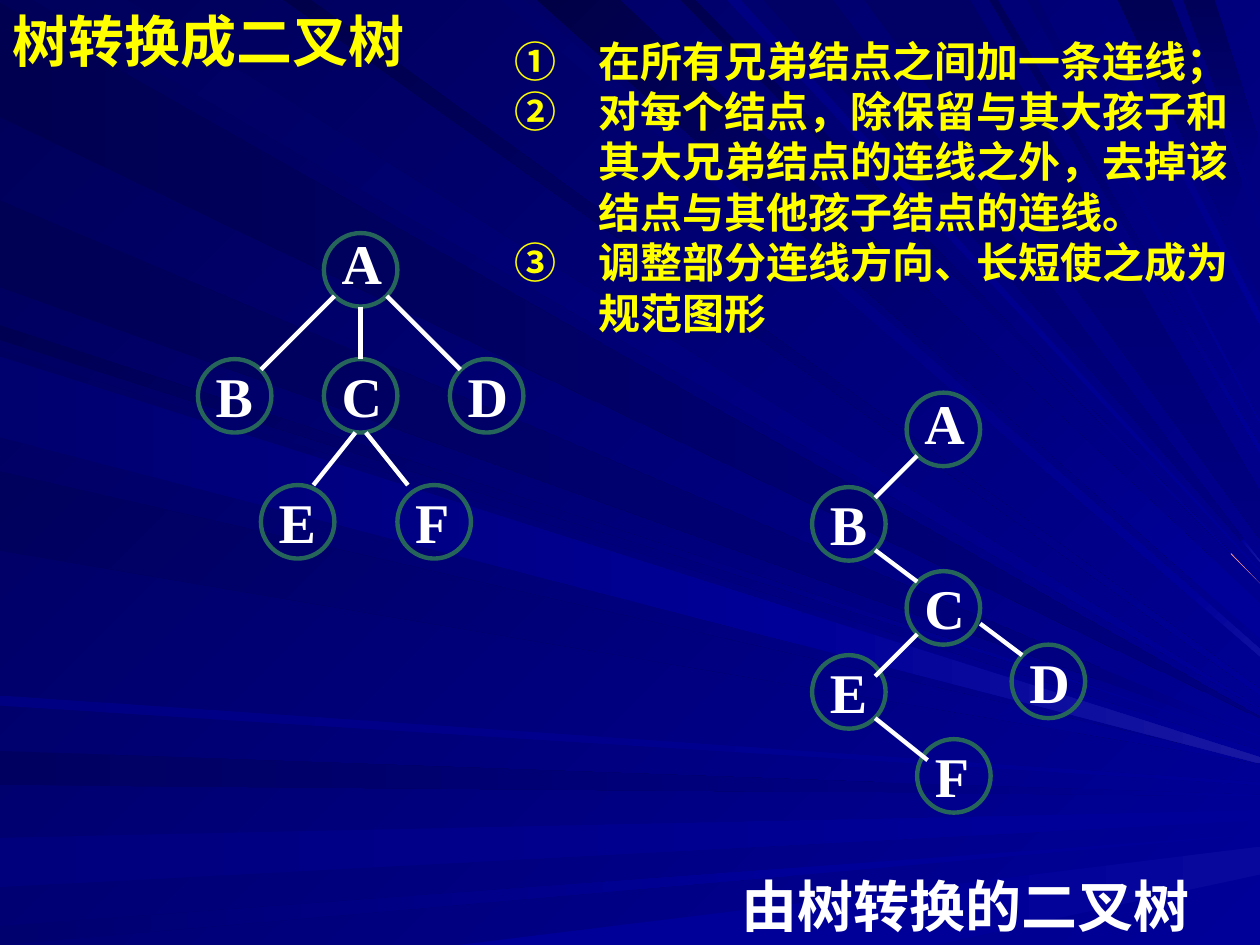
from collections import namedtuple

from lxml import etree
from pptx import Presentation, util as u
from pptx.dml.color import RGBColor
from pptx.enum import shapes as kinds
from pptx.oxml.ns import qn

COLOURS = {"yellow": "FFFF00", "white": "FFFFFF", "ring": "26665A", "pink": "FF9999",
           "haze 1": "08089C", "haze 2": "0F0F9F", "haze 3": "1717A2"}
# Blues are named after their only non-zero byte
BLUES = "47 4A 4F 51 53 55 58 59 5D 61 65 6B 6F 79 7D 80 82 99"
COLOURS.update({shade: f"0000{shade}" for shade in BLUES.split()})
CJK_FONT, LATIN_FONT = "Noto Sans CJK SC", "Times New Roman"

presentation = Presentation()
presentation.slide_width, presentation.slide_height = u.Inches(10), u.Inches(7.5)
slide = presentation.slides.add_slide(presentation.slide_layouts[6])
WIDTH = presentation.slide_width
UNIT = WIDTH / 120        # grid square for the trees and text
RAY_UNIT = WIDTH / 1000   # finer grid for the background rays
RIGHT_EDGE, BOTTOM_EDGE = 1000, 750


def paint(fill, angle, *names):
    """Fill with one named colour, or with a gradient of two, turned clockwise."""
    if len(names) == 1:
        fill.solid()
        fill.fore_color.rgb = RGBColor.from_string(COLOURS[names[0]])
        return
    fill.gradient()
    fill.gradient_angle = (360 - angle) % 360
    for stop, name in zip(fill.gradient_stops, names):
        stop.color.rgb = RGBColor.from_string(COLOURS[name])


def add_text(parent, box, lines, size, colour, font, spacing, hanging=0):
    """Put bold lines in a box given in grid units."""
    shape = parent.add_textbox(*(u.Emu(round(value * UNIT)) for value in box))
    frame = shape.text_frame
    frame.word_wrap = True
    frame.text = "\n".join(lines)
    for paragraph in frame.paragraphs:
        paragraph.line_spacing = spacing
        if hanging:
            properties = paragraph._p.get_or_add_pPr()
            properties.set("marL", str(round(hanging * UNIT)))
            properties.set("indent", str(round(-hanging * UNIT)))
        for run in paragraph.runs:
            run.font.size, run.font.bold, run.font.name = u.Pt(size), True, font
            run.font.color.rgb = RGBColor.from_string(COLOURS[colour])
            east_asian = etree.SubElement(run._r.get_or_add_rPr(), qn("a:ea"))
            east_asian.set("typeface", CJK_FONT)


# Background: each ray is a band between two straight edges. They leave one side of
# the slide at the two "start" positions and meet its right side at the two "end" heights.
# A ray with a seam changes colours where its edges reach the two seam columns.
Ray = namedtuple("Ray", "side start end angle colours seam tail", defaults=(None, None))
RAYS = [
    Ray("left", (2, 93), (569, 570), 0, ("51", "80")),
    Ray("top", (26, 101), (563, 562), 45, ("5D", "99")),
    Ray("left", (596, 623), (631, 632), 0, ("61", "80"), (701, 701), ("80", "99")),
    Ray("left", (665, 704), (643, 651), 0, ("7D", "99"), (831, 831), ("99",)),
    Ray("left", (735, 750), (662, 662), 0, ("6F", "99"), (628, 628), ("99",)),
    Ray("bottom", (364, 742), (672, 694), 0, ("99",), (756, 801), ("99", "haze 1")),
    Ray("left", (258, 270), (589, 589), 45, ("53", "99"), (873, 873), ("99",)),
    Ray("left", (159, 228), (584, 585), 0, ("55", "80"), (873, 873), ("80", "99")),
    Ray("top", (398, 416), (521, 515), 45, ("6B", "99"), (944, 947), ("99", "haze 2")),
    Ray("top", (426, 492), (507, 479), 45, ("47", "99"), (951, 968), ("99",)),
    Ray("top", (540, 552), (463, 463), 45, ("4F", "99"), (977, 977), ("pink",)),
    Ray("top", (606, 661), (446, 445), 90, ("65", "80"), (985, 987), ("99", "haze 3")),
    Ray("top", (887, 930), (237, 183), 90, ("55", "80"), (973, 986), ("80",)),
    Ray("top", (939, 964), (167, 114), 90, ("59", "80"), (989, 999), ("80",)),
    Ray("left", (278, 342), (596, 602), 45, ("61", "99")),
    Ray("left", (374, 437), (605, 606), 45, ("5D", "99")),
    Ray("left", (552, 560), (621, 623), 0, ("82", "99")),
    Ray("top", (225, 247), (552, 547), 45, ("4A", "99")),
    Ray("top", (577, 588), (454, 453), 45, ("82", "99")),
    Ray("top", (686, 770), (428, 390), 90, ("65", "80")),
    Ray("top", (785, 792), (360, 354), 45, ("58", "99")),
    Ray("top", (815, 824), (336, 335), 45, ("6F", "99")),
    Ray("top", (865, 872), (258, 249), 45, ("79", "99")),
    Ray("left", (283, 347), (601, 606), 0, ("6F", "99"), (637, 633), ("99", "haze 3")),
]
background = slide.shapes.add_group_shape()
paint(slide.background.fill, 45, "58", "99")
for ray in RAYS:
    if ray.side == "left":
        starts = [(0, y) for y in ray.start]
    else:
        starts = [(x, 0 if ray.side == "top" else BOTTOM_EDGE) for x in ray.start]
    ends = [(RIGHT_EDGE, y) for y in ray.end]
    pieces = [(starts, ends, ray.angle, ray.colours)]
    if ray.seam:
        seam = [(x, y0 + (y1 - y0) * (x - x0) / (x1 - x0))
                for x, (x0, y0), (x1, y1) in zip(ray.seam, starts, ends)]
        tail_angle = 45 if ray.side == "top" else 0
        pieces = [(starts, seam, ray.angle, ray.colours), (seam, ends, tail_angle, ray.tail)]
    for near, far, angle, colours in pieces:
        builder = background.shapes.build_freeform(*near[0], scale=RAY_UNIT)
        builder.add_line_segments([far[0], far[1], near[1]], close=True)
        band = builder.convert_to_shape()
        band.shadow.inherit = False
        band.line.fill.background()
        paint(band.fill, angle, *colours)

add_text(slide.shapes, (0, 0, 120, 90), ["树转换成二叉树"], 32, "yellow", CJK_FONT, u.Pt(38.4))

# Trees: root centre, nodes relative to the root, and edges as
# (parent, offset from its centre, child, offset from its centre)
LOWER_LEFT, LOWER_RIGHT = (-2.5, 2.5), (2.5, 2.5)
UPPER_LEFT, UPPER_RIGHT = (-2.5, -2.5), (2.5, -2.5)
TREES = [
    ((34.35, 25.7),
     {"A": (0, 0), "C": (0, 12), "B": (-12, 12), "F": (7, 24), "D": (12, 12), "E": (-6, 24)},
     [("A", (0, 3.5), "C", (0, -3.5)),
      ("A", LOWER_LEFT, "B", UPPER_RIGHT),
      ("A", LOWER_RIGHT, "D", UPPER_LEFT),
      ("C", (-0.5, 3.5), "E", (1.5, -3.5)),
      ("C", (0.5, 3.5), "F", (-2.5, -3.5))]),
    ((89.85, 40.9),
     {"A": (0, 0), "C": (0, 17), "B": (-9, 9), "F": (1, 33), "D": (10, 24), "E": (-9, 25)},
     [("A", LOWER_LEFT, "B", UPPER_RIGHT),
      ("B", LOWER_RIGHT, "C", UPPER_LEFT),
      ("C", LOWER_LEFT, "E", (2.5, -1.5)),
      ("E", LOWER_RIGHT, "F", (-2.5, -1.5)),
      ("C", (3.5, 1.5), "D", UPPER_LEFT)]),
]
DIAMETER = 7
for (root_x, root_y), nodes, edges in TREES:
    tree = slide.shapes.add_group_shape().shapes
    for letter, (column, row) in nodes.items():
        left, top = root_x + column - DIAMETER / 2, root_y + row - DIAMETER / 2
        circle = tree.add_shape(kinds.MSO_SHAPE.OVAL, *(
            u.Emu(round(value * UNIT)) for value in (left, top, DIAMETER, DIAMETER)))
        circle.shadow.inherit = False
        circle.fill.background()
        circle.line.width = u.Pt(2.5)
        circle.line.color.rgb = RGBColor.from_string(COLOURS["ring"])
        height, spacing = (7.7, 1.0) if letter == "A" else (8.3, 1.1)
        add_text(tree, (left + 0.5, top - 1, DIAMETER, height), [letter],
                 32, "white", LATIN_FONT, spacing)
    for parent, start, child, end in edges:
        ends = [u.Emu(round((origin + node + offset) * UNIT))
                for name, offsets in ((parent, start), (child, end))
                for origin, node, offset in zip((root_x, root_y), nodes[name], offsets)]
        edge = tree.add_connector(kinds.MSO_CONNECTOR.STRAIGHT, *ends)
        edge.line.width = u.Pt(2.5)
        edge.line.color.rgb = RGBColor.from_string(COLOURS["white"])
        etree.SubElement(edge._element.spPr, qn("a:effectLst"))

add_text(slide.shapes, (69.4, 82.4, 47, 7.6), ["由树转换的二叉树"],
         32, "white", LATIN_FONT, u.Pt(38.4))
STEPS = [
    "①\t在所有兄弟结点之间加一条连线；",
    "②\t对每个结点，除保留与其大孩子和其大兄弟结点的连线之外，去掉该结点与其他孩子结点的连线。",
    "③\t调整部分连线方向、长短使之成为规范图形",
]
add_text(slide.shapes, (47.8, 2.75, 72.2, 30), STEPS, 24, "yellow", CJK_FONT, u.Pt(28.8), hanging=8)

presentation.save("out.pptx")
